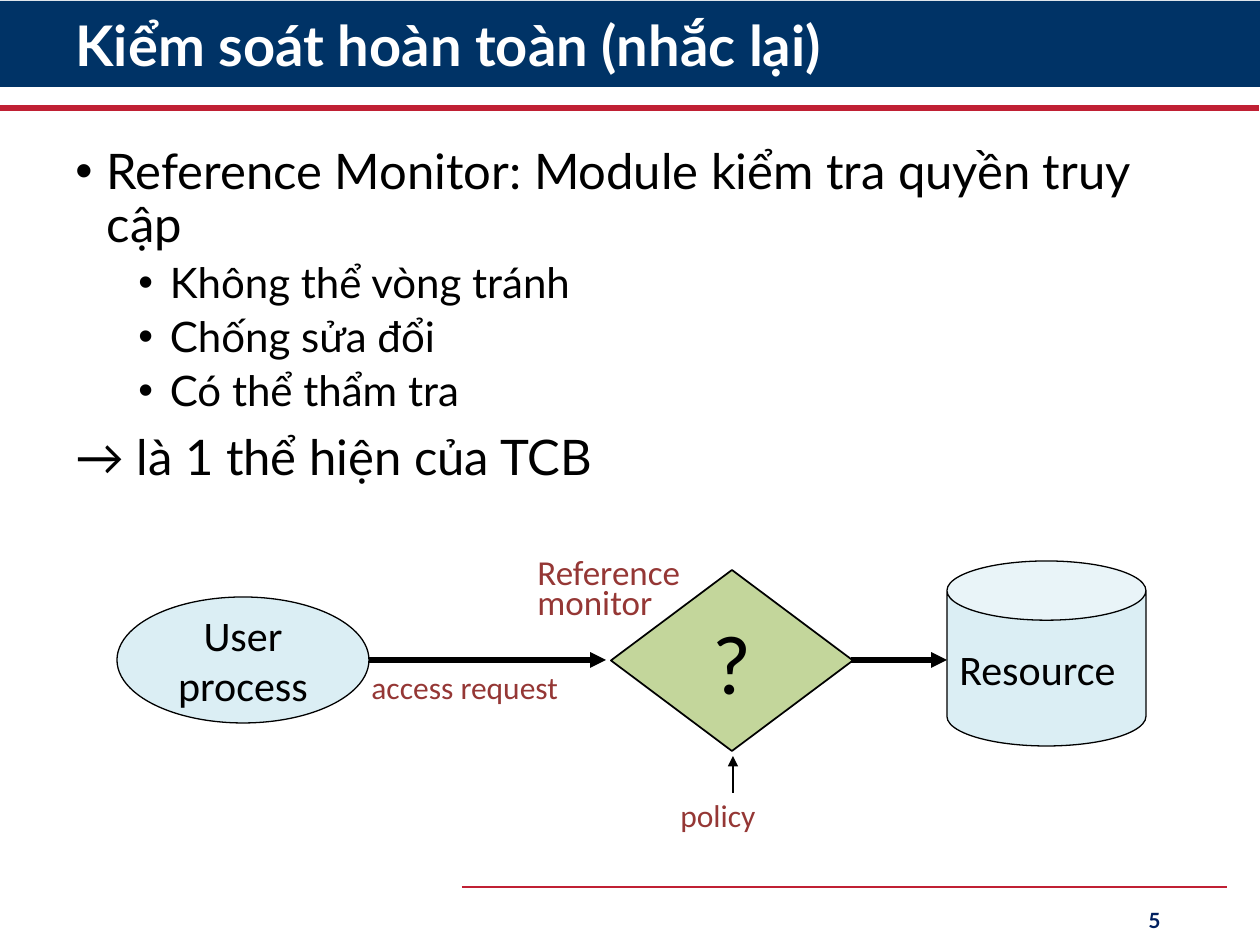
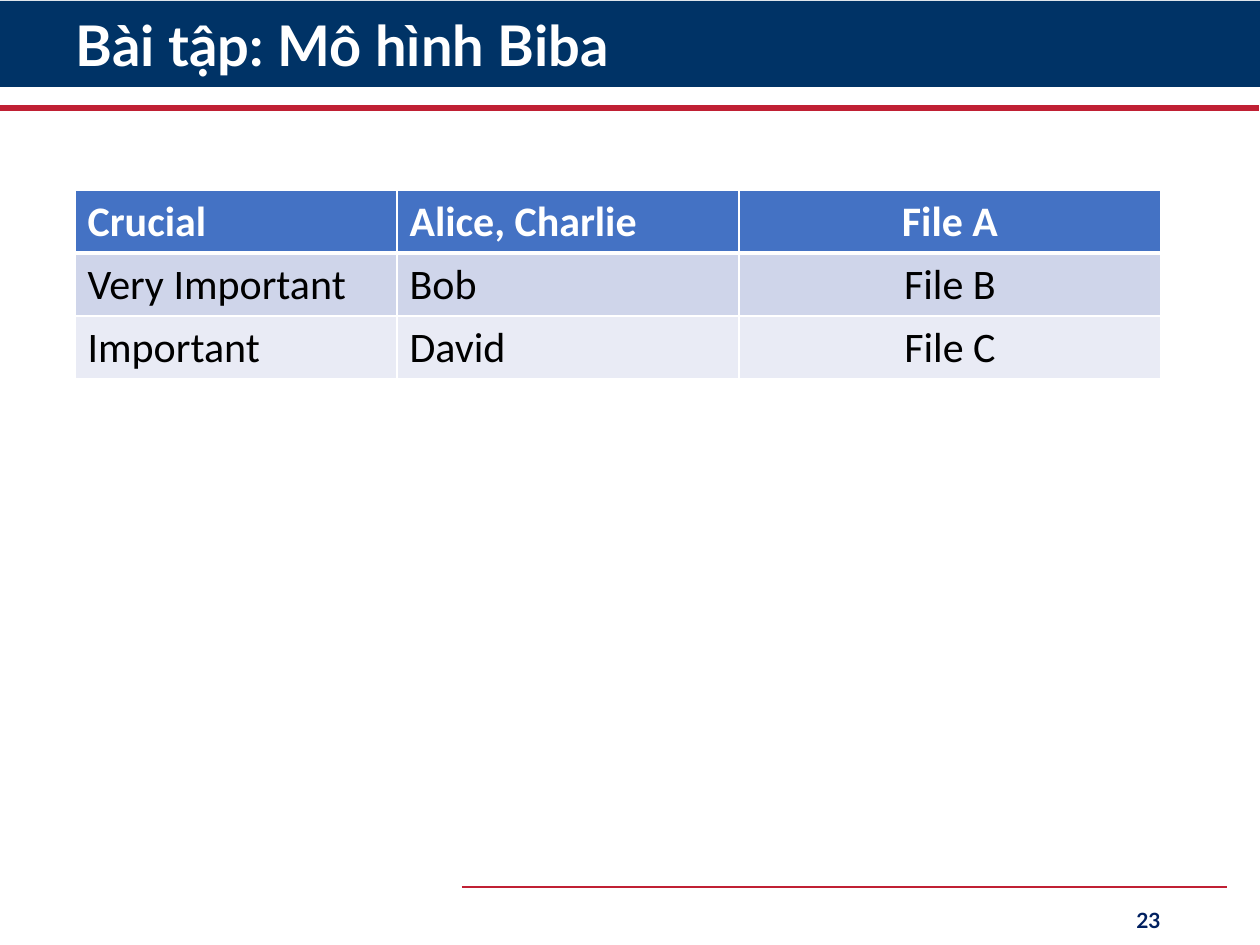
"""Build two security lecture slides: a reference monitor diagram and a Biba model exercise."""
import pptx
import pptx.dml.color
import pptx.enum.shapes
import pptx.enum.text
import pptx.oxml
import pptx.oxml.ns
import pptx.util

COLORS = {
    "navy": "003366", "red": "C02034", "number": "002060", "white": "FFFFFF",
    "black": "000000", "label": "953735", "pale_blue": "DBEEF4", "green": "C3D69B",
    "header": "4472C4", "odd_row": "CFD5EA", "even_row": "E9EBF5",
}
RGB = {name: pptx.dml.color.RGBColor.from_string(value) for name, value in COLORS.items()}
EMU_PER_PX = 914400 / 126
NAMESPACE = pptx.oxml.ns.nsdecls("a")
ALIGN = pptx.enum.text.PP_ALIGN
MIDDLE = pptx.enum.text.MSO_ANCHOR.MIDDLE
AUTO_SIZE = pptx.enum.text.MSO_AUTO_SIZE
SHAPES = pptx.enum.shapes.MSO_SHAPE
STRAIGHT = pptx.enum.shapes.MSO_CONNECTOR.STRAIGHT


def px(*lengths):
    return [pptx.util.Emu(round(length * EMU_PER_PX)) for length in lengths]


def write(frame, lines, size, color, font="Calibri", bold=False, frame_format={}, paragraph_format={}):
    for name, value in frame_format.items():
        setattr(frame, name, value)
    for index, line in enumerate(lines):
        paragraph = frame.paragraphs[0] if index == 0 else frame.add_paragraph()
        for name, value in paragraph_format.items():
            setattr(paragraph, name, value)
        run = paragraph.add_run()
        run.text = line
        run.font.color.rgb = RGB[color]
        font_format = {"name": font, "size": pptx.util.Pt(size), "bold": bold}
        for name, value in font_format.items():
            setattr(run.font, name, value)


presentation = pptx.Presentation()
presentation.slide_width, presentation.slide_height = px(1260, 945)
layout = presentation.slide_layouts[5]
for placeholder in list(layout.placeholders):
    if placeholder.placeholder_format.idx >= 10:
        placeholder.element.getparent().remove(placeholder.element)

slides = []
for title_text, number in [("Kiểm soát hoàn toàn (nhắc lại)", "5"), ("Bài tập: Mô hình Biba", "23")]:
    slide = presentation.slides.add_slide(layout)
    title = slide.shapes.title
    title.left, title.top, title.width, title.height = px(63, 10, 1110, 77)
    write(title.text_frame, [title_text], 32, "white", "Lato", True,
          {"vertical_anchor": MIDDLE, "word_wrap": True, "auto_size": AUTO_SIZE.NONE},
          {"alignment": ALIGN.LEFT, "line_spacing": 0.9})
    number_box = slide.shapes.add_textbox(*px(890, 895, 283, 50))
    write(number_box.text_frame, [number], 12, "number", "Lato", True,
          {"vertical_anchor": MIDDLE, "word_wrap": True}, {"alignment": ALIGN.RIGHT})
    slides.append(slide)
monitor_slide, biba_slide = slides

band = monitor_slide.shapes.add_shape(SHAPES.RECTANGLE, *px(0, 1, 1260, 86))
band.shadow.inherit = False
band.fill.solid()
band.fill.fore_color.rgb = RGB["navy"]
band.line.fill.background()
layout.shapes.element.append(band.element)

connectors = [
    ((-1, 108, 1259, 108), "red", 3.5, False),
    ((462, 887, 1227, 887), "red", 1.5, False),
    ((369, 660, 606, 660), "black", 3, True),
    ((851, 660, 947, 660), "black", 3, True),
    ((733, 793, 733, 756), "black", 1.5, True),
]
for ends, color, width, is_arrow in connectors:
    connector = monitor_slide.shapes.add_connector(STRAIGHT, *px(*ends))
    connector.line.color.rgb = RGB[color]
    connector.line.width = pptx.util.Pt(width)
    properties = connector.element.spPr
    properties.append(pptx.oxml.parse_xml(f"<a:effectLst {NAMESPACE}/>"))
    if is_arrow:
        arrowhead = pptx.oxml.parse_xml(f'<a:tailEnd {NAMESPACE} type="triangle"/>')
        properties.find(pptx.oxml.ns.qn("a:ln")).append(arrowhead)
    else:
        layout.shapes.element.append(connector.element)

body = monitor_slide.shapes.add_textbox(*px(63, 141, 1134, 465)).text_frame
body.word_wrap = True
body_lines = [
    ("Reference Monitor: Module kiểm tra quyền truy cập", 0, True),
    ("Không thể vòng tránh", 1, True),
    ("Chống sửa đổi", 1, True),
    ("Có thể thẩm tra", 1, True),
    ("→ là 1 thể hiện của TCB", 0, False),
]
write(body, [line for line, level, has_bullet in body_lines], 28, "black", "Lato",
      paragraph_format={"line_spacing": 0.9, "space_before": pptx.util.Pt(10)})
for paragraph, (line, level, has_bullet) in zip(body.paragraphs, body_lines):
    if level:
        paragraph.level = level
        paragraph.space_before = pptx.util.Pt(5)
        paragraph.runs[0].font.size = pptx.util.Pt(24)
    if has_bullet:
        properties = paragraph._p.get_or_add_pPr()
        properties.set("marL", str(pptx.util.Inches(0.25 + 0.5 * level)))
        properties.set("indent", str(pptx.util.Inches(-0.25)))
        properties.append(pptx.oxml.parse_xml(f'<a:buFont {NAMESPACE} typeface="Arial"/>'))
        properties.append(pptx.oxml.parse_xml(f'<a:buChar {NAMESPACE} char="•"/>'))

nodes = [
    (SHAPES.CAN, (947, 561, 199, 185), "pale_blue", 0.75, "Resource", 24, True,
     {"alignment": ALIGN.LEFT}),
    (SHAPES.OVAL, (117, 597, 252, 126), "pale_blue", 0.75, "User process", 24, True,
     {"alignment": ALIGN.CENTER, "space_before": pptx.util.Pt(5)}),
    (SHAPES.DIAMOND, (611, 570, 242, 181), "green", 1, "?", 48, False,
     {"alignment": ALIGN.CENTER}),
]
labels = [
    ((525, 556, 170, 74), ["Reference", "monitor"], 20, False),
    ((359, 672, 273, 39), ["access request"], 18, True),
    ((668, 800, 102, 39), ["policy"], 18, False),
]
for box, lines, size, wraps in labels:
    label = monitor_slide.shapes.add_textbox(*px(*box))
    write(label.text_frame, lines, size, "label",
          frame_format={"word_wrap": wraps, "auto_size": AUTO_SIZE.SHAPE_TO_FIT_TEXT},
          paragraph_format={"line_spacing": 0.7})
for preset, box, fill, line_width, text, size, wraps, paragraph_format in nodes:
    node = monitor_slide.shapes.add_shape(preset, *px(*box))
    node.shadow.inherit = False
    node.fill.solid()
    node.fill.fore_color.rgb = RGB[fill]
    node.line.color.rgb = RGB["black"]
    node.line.width = pptx.util.Pt(line_width)
    if preset == SHAPES.CAN:
        node.adjustments[0] = 0.32
    write(node.text_frame, [text], size, "black",
          frame_format={"vertical_anchor": MIDDLE, "word_wrap": wraps},
          paragraph_format=paragraph_format)

levels = [
    ("Crucial", "Alice, Charlie", "File A"),
    ("Very Important", "Bob", "File B"),
    ("Important", "David", "File C"),
]
column_widths = px(322, 342, 422)
table = biba_slide.shapes.add_table(3, 3, *px(75, 190, 1086, 189)).table
for column, width in zip(table.columns, column_widths):
    column.width = width
for row_index, (level, fill) in enumerate(zip(levels, ["header", "odd_row", "even_row"])):
    is_header = row_index == 0
    for column_index, text in enumerate(level):
        cell = table.cell(row_index, column_index)
        write(cell.text_frame, [text], 24, "white" if is_header else "black", bold=is_header,
              paragraph_format={"alignment": ALIGN.CENTER if column_index == 2 else ALIGN.LEFT})
        borders = {"L": 1, "R": 1, "T": 3 if row_index == 1 else 1, "B": 3 if is_header else 1}
        for side, width in borders.items():
            cell._tc.get_or_add_tcPr().append(pptx.oxml.parse_xml(
                f'<a:ln{side} {NAMESPACE} w="{pptx.util.Pt(width)}"><a:solidFill>'
                f'<a:srgbClr val="{COLORS["white"]}"/></a:solidFill></a:ln{side}>'))
        cell.fill.solid()
        cell.fill.fore_color.rgb = RGB[fill]

presentation.save("out.pptx")
